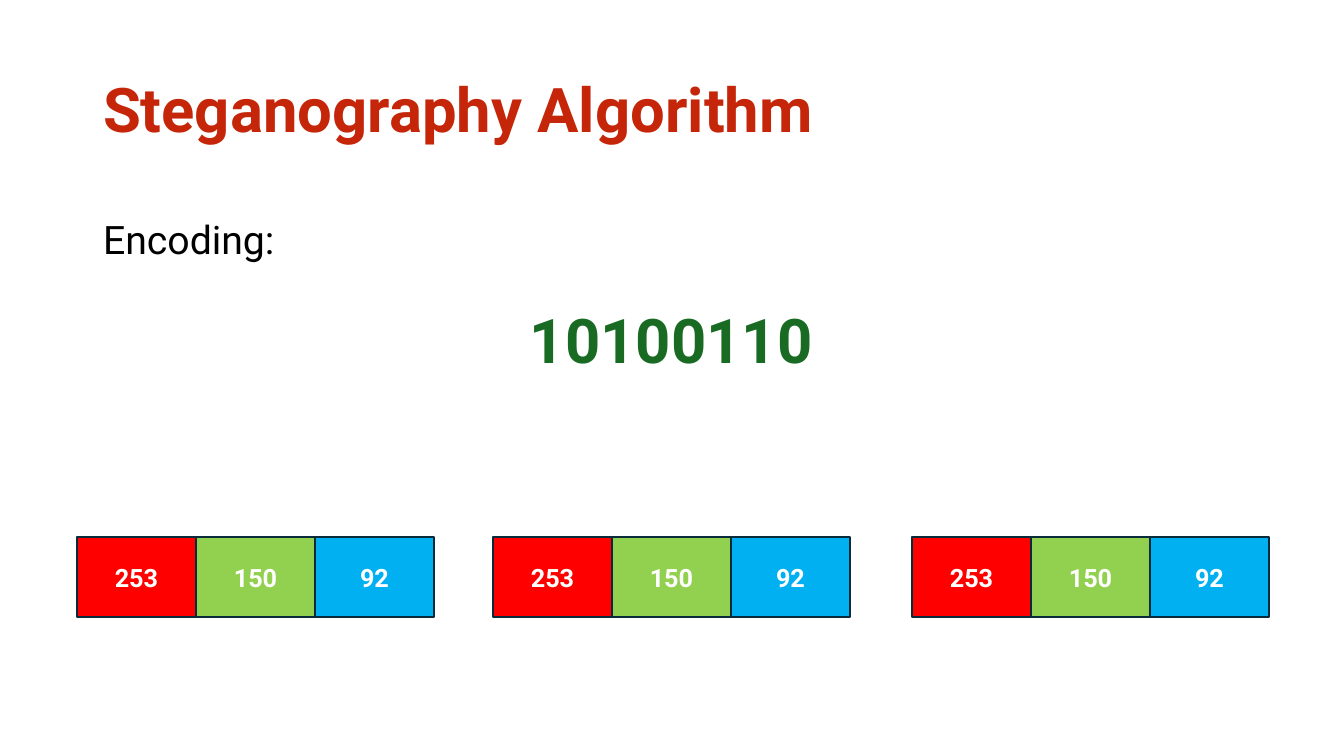
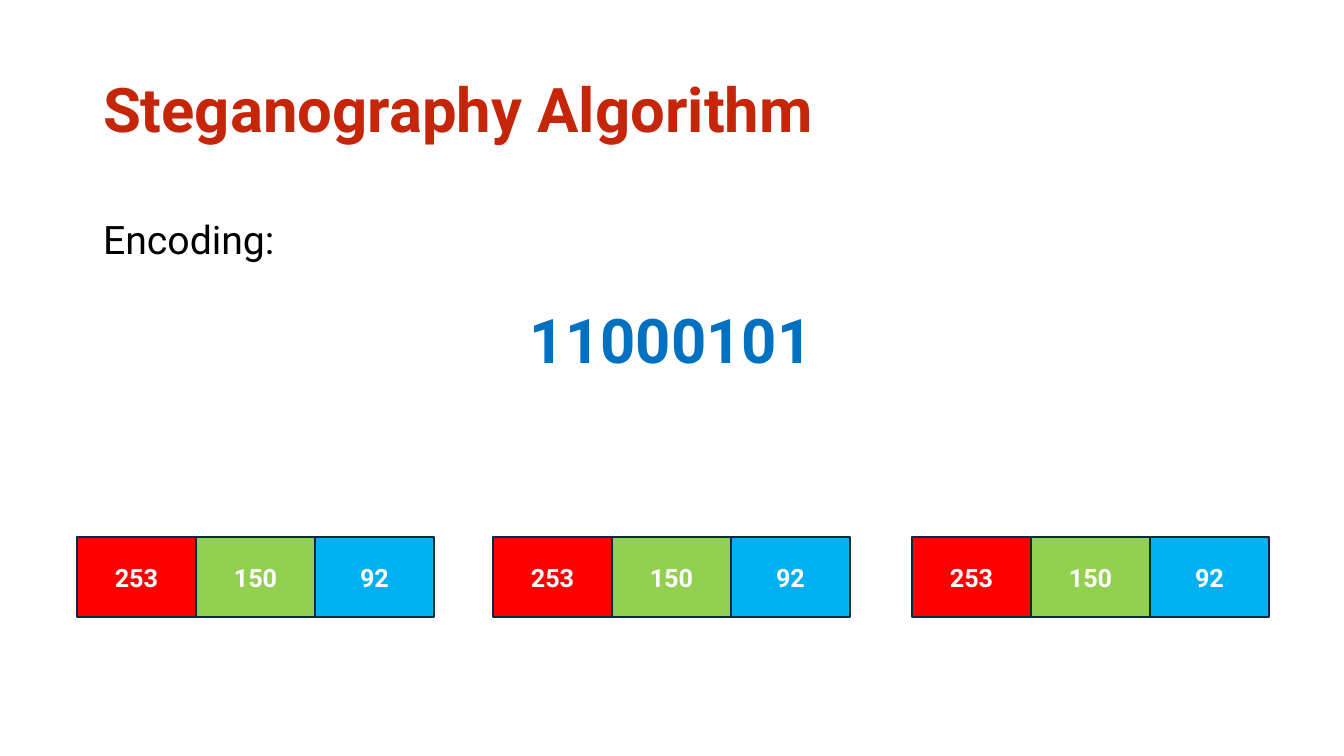
"""Build two slides on encoding bytes into pixel values."""
from pptx import Presentation
from pptx.dml.color import RGBColor
from pptx.enum.shapes import MSO_SHAPE
from pptx.enum.text import MSO_ANCHOR, MSO_AUTO_SIZE, PP_ALIGN
from pptx.util import Pt
from lxml import etree

RECT = MSO_SHAPE.RECTANGLE
LEFT, CENTER = PP_ALIGN.LEFT, PP_ALIGN.CENTER
TOP, MIDDLE = MSO_ANCHOR.TOP, MSO_ANCHOR.MIDDLE
FIXED = MSO_AUTO_SIZE.NONE

PX = 914400 / 100.8
FONT = "Roboto"
COLORS = {
    "title": "C52609", "black": "000000", "white": "FFFFFF", "edge": "092A39",
    "red": "FF0000", "lime": "92D050", "sky": "00B0F0",
    "green": "196B24", "blue": "0070C0",
}
CODES = [("10100110", "green"), ("11000101", "blue")]
PIXEL = [("253", "red"), ("150", "lime"), ("92", "sky")]
STARTS = [77, 493, 912]
CELL_W, CELL_H, CELL_TOP = 119, 80, 537


def box(*sizes):
    return [round(size * PX) for size in sizes]


def write(shape, text, size=18, color="black", bold=False, align=LEFT,
          anchor=MIDDLE, lines=None, before=0):
    frame = shape.text_frame
    frame.word_wrap = True
    frame.auto_size = FIXED
    frame.vertical_anchor = anchor
    para = frame.paragraphs[0]
    para.alignment = align
    para.line_spacing = lines
    para.space_before = Pt(before)
    run = para.add_run()
    run.text = text
    run.font.name = FONT
    run.font.size = Pt(size)
    run.font.bold = bold
    run.font.color.rgb = RGBColor.from_string(COLORS[color])
    return para


deck = Presentation()
deck.slide_width, deck.slide_height = box(1344, 756)
layout = deck.slide_layouts[1]
places = [box(93, 40, 1159, 146), box(93, 202, 197, 79)]
for holder, place in zip(layout.placeholders, places):
    holder.left, holder.top, holder.width, holder.height = place

for code, tint in CODES:
    slide = deck.slides.add_slide(layout)
    title, body = slide.placeholders
    write(title, "Steganography Algorithm", size=44, color="title",
          bold=True, lines=0.9)
    para = write(body, "Encoding:", size=28, lines=0.9, before=10)
    props = para._p.get_or_add_pPr()
    props.set("marL", "0")
    props.set("indent", "0")
    etree.SubElement(
        props, "{http://schemas.openxmlformats.org/drawingml/2006/main}buNone")

    for start in STARTS:
        group = slide.shapes.add_group_shape()
        for col, (value, fill) in enumerate(PIXEL):
            cell = group.shapes.add_shape(
                RECT, *box(start + col * CELL_W, CELL_TOP, CELL_W, CELL_H))
            cell.shadow.inherit = False
            cell.fill.solid()
            cell.fill.fore_color.rgb = RGBColor.from_string(COLORS[fill])
            cell.line.color.rgb = RGBColor.from_string(COLORS["edge"])
            cell.line.width = Pt(1.5)
            write(cell, value, color="white", bold=True, align=CENTER)

    label = slide.shapes.add_textbox(*box(432, 297, 479, 85))
    write(label, code, size=44, color=tint, bold=True, align=CENTER, anchor=TOP)

deck.save("out.pptx")
